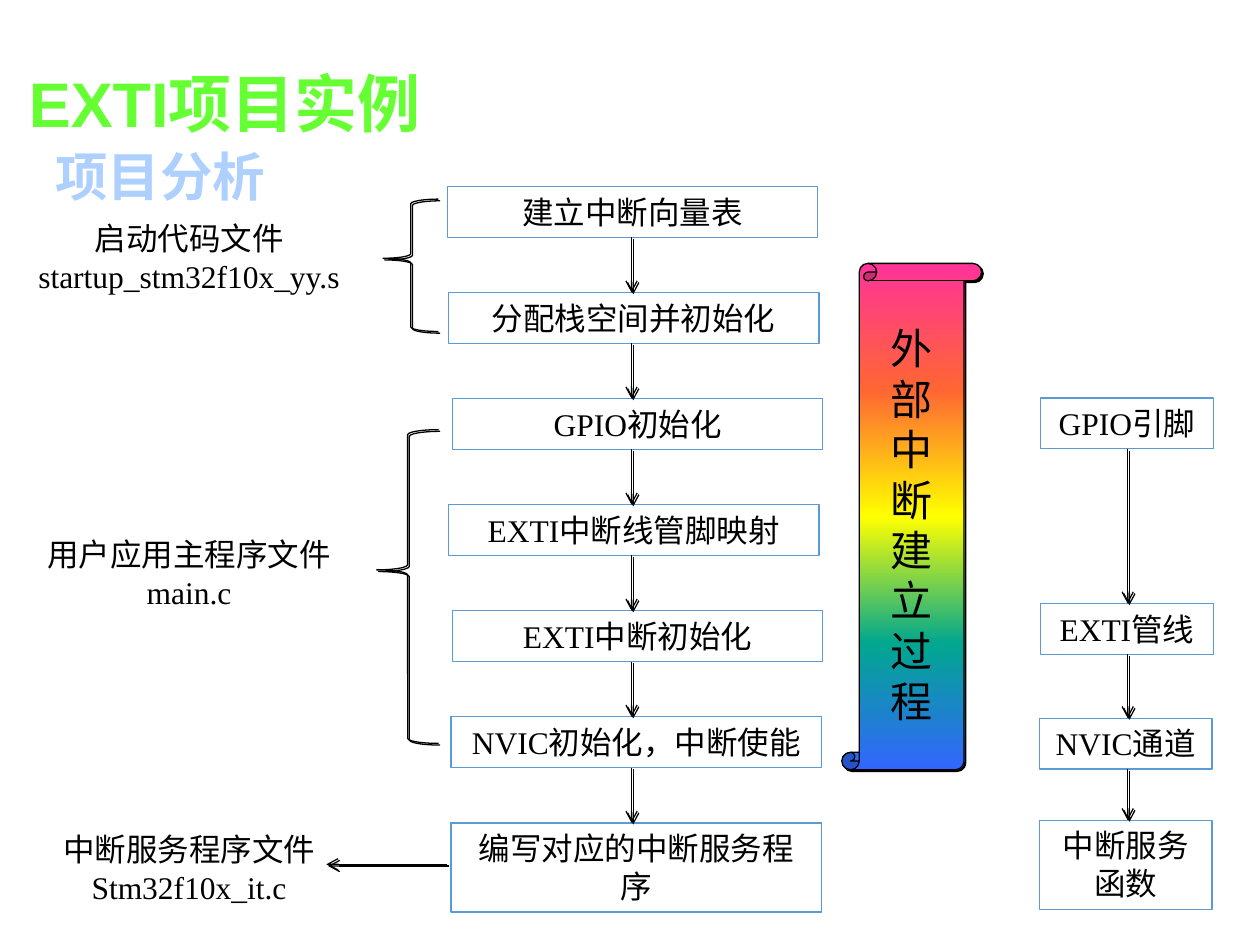
from dataclasses import dataclass

from lxml.etree import SubElement
from pptx import Presentation
from pptx.dml.color import RGBColor
from pptx.enum.shapes import MSO_CONNECTOR, MSO_SHAPE
from pptx.enum.text import MSO_ANCHOR, PP_ALIGN
from pptx.oxml.ns import qn
from pptx.util import Pt


@dataclass(frozen=True)
class Theme:
    """Colours, fonts and sizes of the slide."""
    title: str = "66FF33"
    subtitle: str = "ADD0FF"
    ink: str = "000000"
    border: str = "5B9BD5"
    scroll: tuple = ((0, "FF3399"), (25, "FF6633"), (50, "FFFF00"),
                     (75, "01A78F"), (100, "3366FF"))
    sans: str = "Arial"
    serif: str = "Times New Roman"
    title_size: int = 36
    subtitle_size: int = 30
    scroll_size: int = 24
    body_size: int = 18
    line_width: float = 0.75


@dataclass(frozen=True)
class Box:
    """A rectangle in points."""
    left: float
    top: float
    width: float
    height: float

    def lengths(self):
        """Return the four lengths for python-pptx."""
        return Pt(self.left), Pt(self.top), Pt(self.width), Pt(self.height)


THEME = Theme()


def write(shape, lines, size=THEME.body_size, font=THEME.serif,
          color=THEME.ink, bold=False, align=PP_ALIGN.CENTER):
    """Fill a shape with one paragraph per line."""
    frame = shape.text_frame
    frame.word_wrap = True
    frame.vertical_anchor = MSO_ANCHOR.TOP
    for index, line in enumerate(lines):
        paragraph = frame.add_paragraph() if index else frame.paragraphs[0]
        paragraph.alignment = align
        run = paragraph.add_run()
        run.text = line
        run.font.size = Pt(size)
        run.font.name = font
        run.font.bold = bold
        run.font.color.rgb = RGBColor.from_string(color)


def draw_line(shape, color=THEME.ink):
    """Set the line of a shape or connector."""
    shape.line.color.rgb = RGBColor.from_string(color)
    shape.line.width = Pt(THEME.line_width)


def cast_shadow(shape):
    """Give a shape or connector a small hard shadow."""
    effects = SubElement(shape._element.spPr, qn("a:effectLst"))
    shadow = SubElement(effects, qn("a:outerShdw"), dist=str(Pt(1.4)),
                        dir="2700000", algn="ctr", rotWithShape="0")
    SubElement(shadow, qn("a:srgbClr"), val=THEME.ink)


def add_arrow(slide, start, end):
    """Draw a shadowed arrow between two points."""
    arrow = slide.shapes.add_connector(
        MSO_CONNECTOR.STRAIGHT, *(Pt(value) for value in start + end))
    draw_line(arrow)
    SubElement(arrow.line._get_or_add_ln(), qn("a:tailEnd"), type="arrow")
    cast_shadow(arrow)


def add_heading(slide, box, text, **style):
    """Place a bold left-aligned heading."""
    heading = slide.shapes.add_textbox(*box.lengths())
    write(heading, [text], bold=True, align=PP_ALIGN.LEFT, **style)


def add_chain(slide, box, arrow_offset, steps):
    """Stack outlined steps of (shift, top, height, text) joined by arrows."""
    arrow_x = box.left + arrow_offset
    previous_bottom = None
    for shift, top, height, text in steps:
        step_box = Box(box.left + shift, box.top + top, box.width, height)
        step = slide.shapes.add_shape(MSO_SHAPE.RECTANGLE, *step_box.lengths())
        step.shadow.inherit = False
        step.fill.background()
        draw_line(step, THEME.border)
        write(step, [text])
        if previous_bottom is not None:
            add_arrow(slide, (arrow_x, previous_bottom), (arrow_x, step_box.top))
        previous_bottom = step_box.top + height


def add_file_label(slide, box, lines):
    """Place the name of a source file."""
    write(slide.shapes.add_textbox(*box.lengths()), lines)


def add_brace(slide, box):
    """Draw a left brace around a group of steps."""
    brace = slide.shapes.add_shape(MSO_SHAPE.LEFT_BRACE, *box.lengths())
    brace.adjustments[0] = 0.083
    brace.adjustments[1] = 0.447
    brace.fill.background()
    draw_line(brace)
    cast_shadow(brace)


def add_scroll(slide, box, text):
    """Draw the rainbow scroll with one character per line."""
    scroll = slide.shapes.add_shape(MSO_SHAPE.VERTICAL_SCROLL, *box.lengths())
    scroll.fill.gradient()
    scroll.fill.gradient_angle = 270
    stops = scroll._element.spPr.find(qn("a:gradFill")).find(qn("a:gsLst"))
    for stop in list(stops):
        stops.remove(stop)
    for position, color in THEME.scroll:
        stop = SubElement(stops, qn("a:gs"), pos=str(position * 1000))
        SubElement(stop, qn("a:srgbClr"), val=color)
    draw_line(scroll)
    cast_shadow(scroll)
    write(scroll, text, THEME.scroll_size, THEME.sans)
    scroll.text_frame.margin_top = Pt(24)


def main():
    """Build the slide and save it."""
    presentation = Presentation()
    presentation.slide_width, presentation.slide_height = Pt(720), Pt(540)
    slide = presentation.slides.add_slide(presentation.slide_layouts[6])

    add_heading(slide, Box(9.4, 33.1, 666.7, 51.1), "EXTI项目实例",
                size=THEME.title_size, font=THEME.sans, color=THEME.title)
    add_heading(slide, Box(24.5, 78.5, 588.2, 43.9), "项目分析",
                size=THEME.subtitle_size, color=THEME.subtitle)

    flow = ((0, "建立中断向量表"), (0.7, "分配栈空间并初始化"),
            (2.9, "GPIO初始化"), (0.7, "EXTI中断线管脚映射"),
            (2.9, "EXTI中断初始化"), (2.2, "NVIC初始化，中断使能"),
            (2.2, "编写对应的中断服务程序"))
    pitch, single, double = 60.6, 29, 51
    add_chain(slide, Box(255.6, 106.6, 211.7, 414.7), 105.3,
              [(shift, index * pitch,
                double if index == len(flow) - 1 else single, text)
               for index, (shift, text) in enumerate(flow)])
    add_chain(slide, Box(594, 227.5, 98.6, 292.2), 50.4,
              ((0.7, 0, single, "GPIO引脚"), (0.7, 117.4, single, "EXTI管线"),
               (0, 182.9, single, "NVIC通道"), (0, 241.2, double, "中断服务函数")))

    add_brace(slide, Box(218.9, 113.8, 31.7, 75.6))
    add_brace(slide, Box(215.3, 245.5, 35.3, 179.3))
    labels = ((121.7, ["启动代码文件startup_stm32f10x_yy.s"]),
              (302.4, ["用户应用主程序文件", "main.c"]),
              (470.9, ["中断服务程序文件", "Stm32f10x_it.c"]))
    for top, lines in labels:
        add_file_label(slide, Box(2.2, top, 211.7, double), lines)
    add_arrow(slide, (255.6, 493.9), (186.5, 493.9))

    add_scroll(slide, Box(481, 150.5, 79.9, 289.4), "外部中断建立过程")
    presentation.save("out.pptx")


if __name__ == "__main__":
    main()
